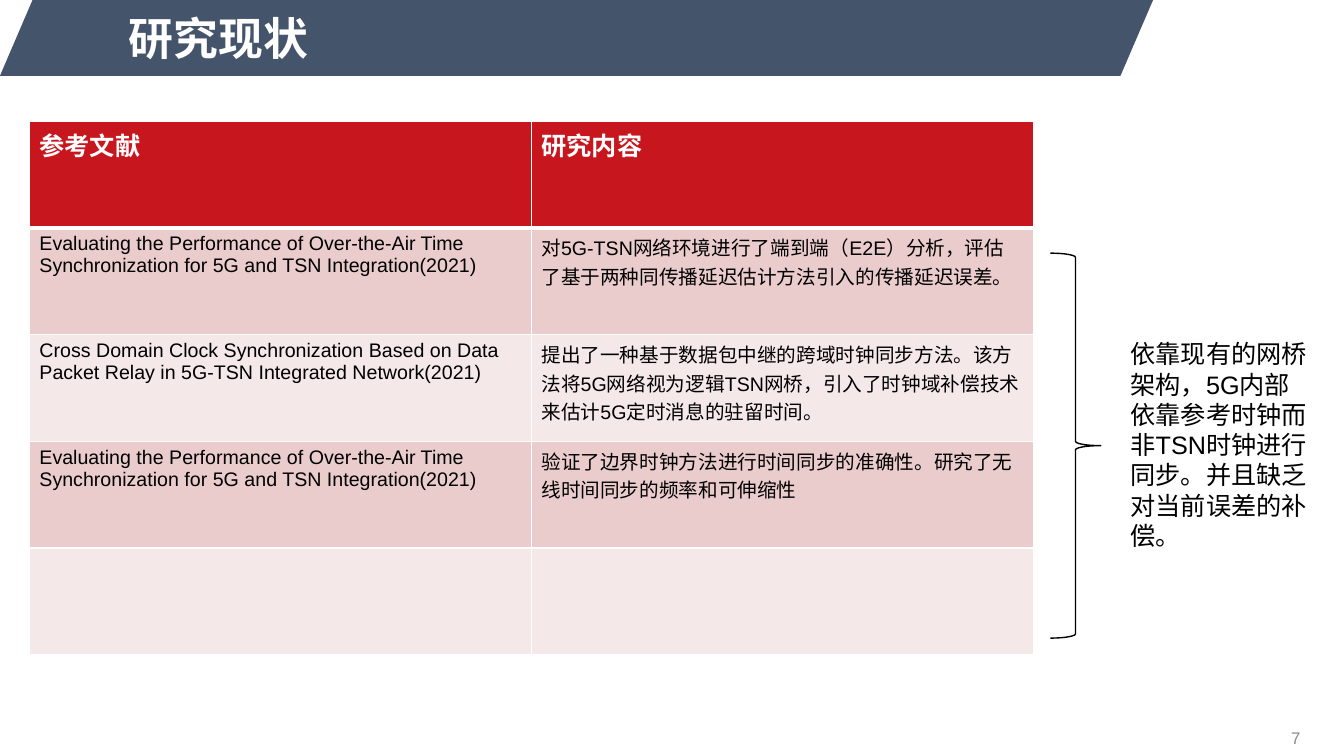
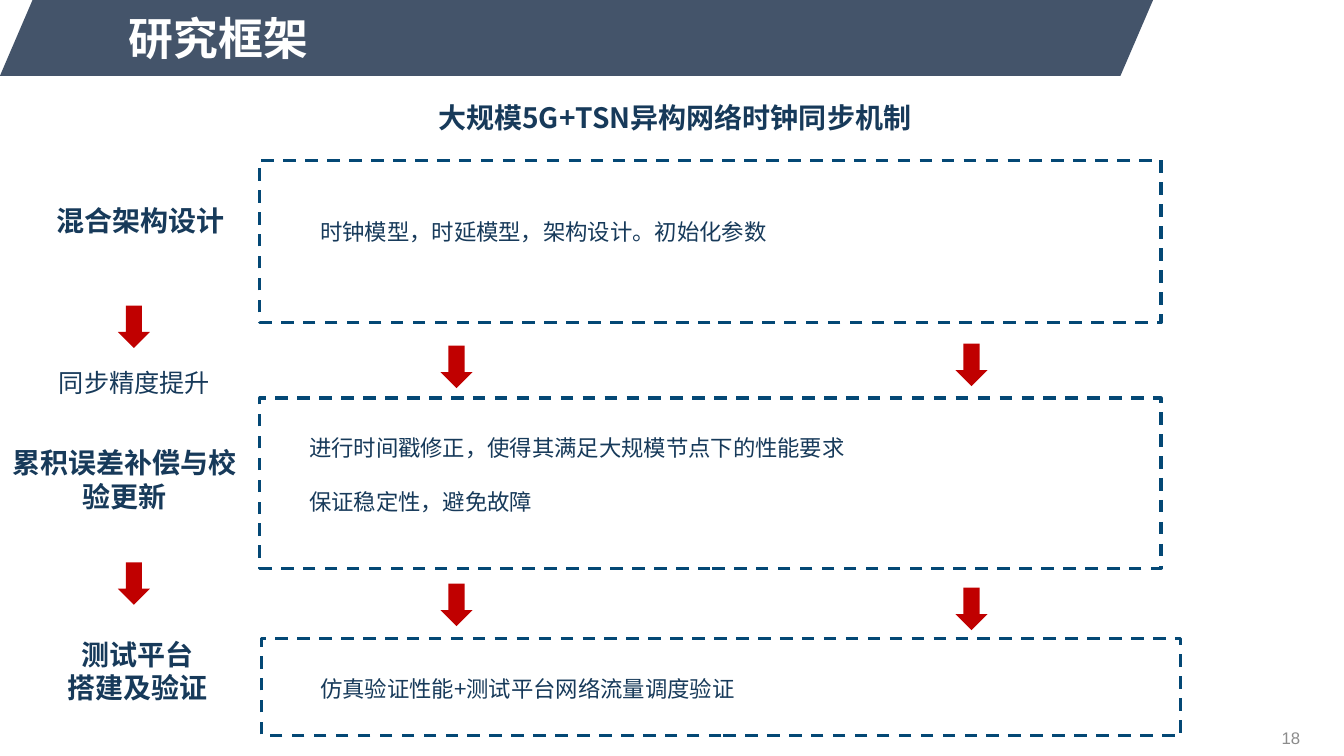
from lxml import etree
from pptx import Presentation
from pptx.dml.color import RGBColor
from pptx.enum.dml import MSO_LINE
from pptx.enum.shapes import MSO_SHAPE
from pptx.enum.text import MSO_ANCHOR, PP_ALIGN
from pptx.oxml.ns import qn
from pptx.util import Cm, Pt

BAND, BRACE = MSO_SHAPE.PARALLELOGRAM, MSO_SHAPE.RIGHT_BRACE
RECT, ARROW = MSO_SHAPE.RECTANGLE, MSO_SHAPE.DOWN_ARROW
LEFT, MID, RIGHT = PP_ALIGN.LEFT, PP_ALIGN.CENTER, PP_ALIGN.RIGHT
TOP, CENTER = MSO_ANCHOR.TOP, MSO_ANCHOR.MIDDLE
DASH = MSO_LINE.DASH

hue = RGBColor.from_string
WHITE, BLACK, NAVY, RED = "FFFFFF", "000000", "173A5A", "C8161E"
SLATE, GREY, EDGE, CRIMSON = "44546A", "8C8C8C", "044875", "C00000"
ROSE, PALE = "EBCCCD", "F5E8E8"
HAN = "Noto Sans CJK SC"

# Text styles: font values and colour
TITLE = dict(size=Pt(32), bold=True, name="Arial"), WHITE
PAGE = dict(size=Pt(12), bold=False, name="Arial"), GREY
HEAD = dict(size=Pt(18), bold=True, name="Arial"), WHITE
CELL = dict(size=Pt(14), bold=False, name="Arial"), BLACK
NOTE = dict(size=Pt(18), bold=False, name="Arial"), BLACK
STAGE = dict(size=Pt(20), bold=True, name=HAN), NAVY
STEP = dict(size=Pt(18), bold=False, name=HAN), NAVY
BODY = dict(size=Pt(16), bold=False, name=HAN), NAVY


def write(frame, lines, style, align=LEFT, gap=0):
    values, color = style
    frame.word_wrap = True
    for i, line in enumerate(lines):
        para = frame.paragraphs[0] if i == 0 else frame.add_paragraph()
        para.alignment = align
        if i and gap:
            para.space_before = Pt(gap)
        run = para.add_run()
        run.text = line
        run.font.color.rgb = hue(color)
        for key, value in values.items():
            setattr(run.font, key, value)
        etree.SubElement(run.font._element, qn("a:ea"), typeface=HAN)


def draw(slide, kind, box, fill=None, line=None, width=1):
    shape = slide.shapes.add_shape(kind, *map(Cm, box))
    shape.shadow.inherit = False
    if fill:
        shape.fill.solid()
        shape.fill.fore_color.rgb = hue(fill)
    else:
        shape.fill.background()
    if line:
        shape.line.color.rgb = hue(line)
        shape.line.width = Pt(width)
    else:
        shape.line.fill.background()
    return shape


deck = Presentation()
deck.slide_width, deck.slide_height = Cm(33.87), Cm(19.05)

# Title band and page number on each slide
slides = []
for title, page in (("研究现状", "7"), ("研究框架", "18")):
    slide = deck.slides.add_slide(deck.slide_layouts[6])
    band = draw(slide, BAND, (0, 0, 29.06, 1.91), SLATE)
    band.adjustments[0] = 0.43
    for text, style, align, box in (
        (title, TITLE, LEFT, (3, 0.13, 19.66, 1.65)),
        (page, PAGE, RIGHT, (30.15, 18.1, 2.87, 0.97)),
    ):
        frame = slide.shapes.add_textbox(*map(Cm, box)).text_frame
        frame.vertical_anchor = CENTER
        write(frame, [text], style, align)
    slides.append(slide)
status, plan = slides

# Table of papers
rows = (
    ("参考文献", "研究内容"),
    ("Evaluating the Performance of Over-the-Air Time Synchronization for 5G and TSN Integration(2021)",
     "对5G-TSN网络环境进行了端到端（E2E）分析，评估了基于两种同传播延迟估计方法引入的传播延迟误差。"),
    ("Cross Domain Clock Synchronization Based on Data Packet Relay in 5G-TSN Integrated Network(2021)",
     "提出了一种基于数据包中继的跨域时钟同步方法。该方法将5G网络视为逻辑TSN网桥，引入了时钟域补偿技术来估计5G定时消息的驻留时间。"),
    ("Evaluating the Performance of Over-the-Air Time Synchronization for 5G and TSN Integration(2021)",
     "验证了边界时钟方法进行时间同步的准确性。研究了无线时间同步的频率和可伸缩性"),
    ("", ""),
)
box = map(Cm, (0.74, 3.05, 25.3, 13.45))
table = status.shapes.add_table(len(rows), 2, *box).table
for r, row in enumerate(rows):
    for c, text in enumerate(row):
        cell = table.cell(r, c)
        for side in "LRTB":
            thick = (r == 0 and side == "B") or (r == 1 and side == "T")
            edge = etree.SubElement(cell._tc.get_or_add_tcPr(), qn("a:ln" + side),
                                    w=str(Pt(3 if thick else 1)))
            solid = etree.SubElement(edge, qn("a:solidFill"))
            etree.SubElement(solid, qn("a:srgbClr"), val=WHITE)
        cell.fill.solid()
        cell.fill.fore_color.rgb = hue(RED if r == 0 else ROSE if r % 2 else PALE)
        if text:
            write(cell.text_frame, [text], CELL if r else HEAD)

# Brace and remark
draw(status, BRACE, (26.47, 6.38, 1.27, 9.7), line=BLACK)
remark = status.shapes.add_textbox(Cm(28.24), Cm(8.41), Cm(5.08), Cm(5.64))
write(remark.text_frame,
      ["依靠现有的网桥架构，5G内部依靠参考时钟而非TSN时钟进行同步。并且缺乏对当前误差的补偿。"], NOTE)

# Dashed frames
for box in ((6.55, 4.04, 22.71, 4.09), (6.55, 10.03, 22.71, 4.29),
            (6.6, 16.08, 23.16, 2.46)):
    frame = draw(plan, RECT, box, line=EDGE, width=2.25)
    frame.line.dash_style = DASH

# Down arrows
for left, tops in ((2.97, (7.7, 14.17)), (11.1, (8.71, 14.71)), (24.08, (8.66, 14.81))):
    for top in tops:
        draw(plan, ARROW, (left, top, 0.81, 1.07), CRIMSON)

# Heading, stages and contents
for lines, style, align, box in (
    (["大规模5G+TSN异构网络时钟同步机制"], STAGE, MID, (8.71, 2.41, 16.59, 1.12)),
    (["混合架构设计"], STAGE, MID, (0.48, 5, 6.12, 1.12)),
    (["同步精度提升"], STEP, MID, (0.33, 9.12, 6.12, 1.02)),
    (["累积误差补偿与校验更新"], STAGE, MID, (-0.13, 11.1, 6.53, 1.98)),
    (["测试平台", "搭建及验证"], STAGE, MID, (-0.03, 15.93, 7.01, 1.96)),
    (["时钟模型，时延模型，架构设计。初始化参数"], BODY, LEFT, (7.82, 5.36, 14.27, 0.94)),
    (["进行时间戳修正，使得其满足大规模节点下的性能要求", "保证稳定性，避免故障"],
     BODY, LEFT, (7.54, 10.82, 16.54, 2.31)),
    (["仿真验证性能+测试平台网络流量调度验证"], BODY, LEFT, (7.82, 16.89, 12.73, 0.94)),
):
    frame = plan.shapes.add_textbox(*map(Cm, box)).text_frame
    write(frame, lines, style, align, gap=19 if style is BODY else 0)

deck.save("out.pptx")
